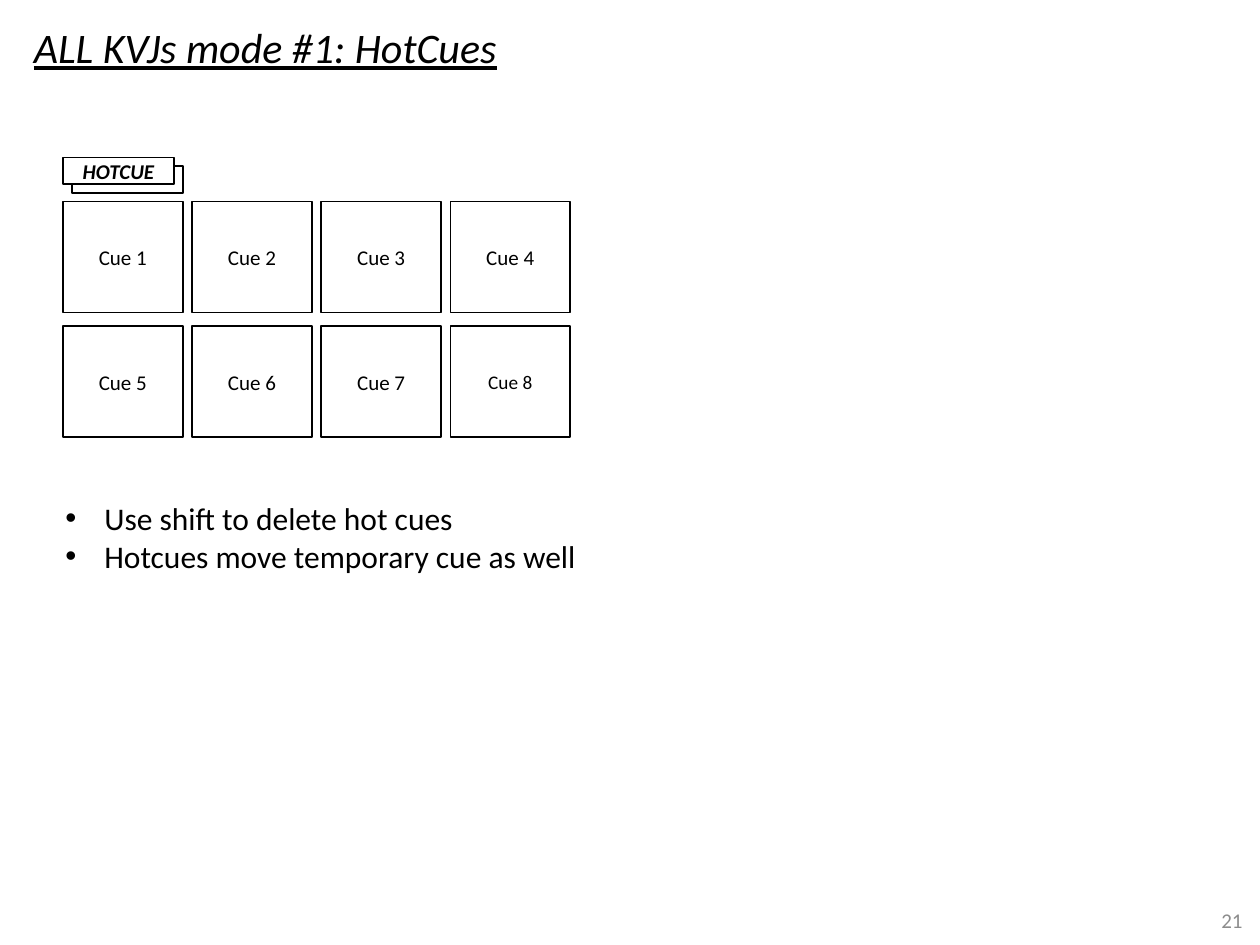
from dataclasses import dataclass

from lxml import etree
from pptx import Presentation
from pptx.dml.color import RGBColor
from pptx.enum.shapes import MSO_SHAPE
from pptx.enum.text import MSO_ANCHOR, MSO_AUTO_SIZE, PP_ALIGN
from pptx.oxml.ns import qn
from pptx.util import Inches, Pt

RECT = MSO_SHAPE.RECTANGLE
MIDDLE = MSO_ANCHOR.MIDDLE
FIT = MSO_AUTO_SIZE.SHAPE_TO_FIT_TEXT
LEFT, CENTER, RIGHT = PP_ALIGN.LEFT, PP_ALIGN.CENTER, PP_ALIGN.RIGHT

COLORS = {"ink": "000000", "paper": "FFFFFF", "muted": "8C8C8C"}
FONT = "Calibri"
COLS, ROWS = 4, 2
GRID_X, GRID_Y = 0.5, 1.6
STEP_X, STEP_Y = 1.025, 0.99
PAD_W, PAD_H = 0.95, 0.88
TAB_W, TAB_H, TAB_GAP = 0.88, 0.21, 0.07
INDENT = 0.31


@dataclass
class Box:
    x: float
    y: float
    w: float
    h: float

    def place(self) -> list:
        return [Inches(v) for v in (self.x, self.y, self.w, self.h)]


@dataclass
class Style:
    size: float = 12
    color: str = "ink"
    bold: bool = False
    italic: bool = False
    under: bool = False
    align: PP_ALIGN = LEFT


def color(name: str) -> RGBColor:
    return RGBColor.from_string(COLORS[name])


def write(frame, text: str, style: Style) -> None:
    frame.text = text
    for para in frame.paragraphs:
        para.alignment = style.align
        for run in para.runs:
            font = run.font
            font.name, font.size = FONT, Pt(style.size)
            font.bold, font.italic = style.bold, style.italic
            font.underline = style.under
            font.color.rgb = color(style.color)


def draw_pad(slide, box: Box, text: str = "", style: Style | None = None) -> None:
    """Draw an outlined rectangle with an optional centred label."""
    pad = slide.shapes.add_shape(RECT, *box.place())
    pad.shadow.inherit = False
    pad.fill.solid()
    pad.fill.fore_color.rgb = color("paper")
    pad.line.color.rgb = color("ink")
    pad.line.width = Pt(1)
    if text and style:
        frame = pad.text_frame
        frame.margin_left = frame.margin_right = 0
        frame.margin_top = frame.margin_bottom = 0
        frame.vertical_anchor = MIDDLE
        write(frame, text, style)


def draw_text(slide, box: Box, text: str, style: Style, wrap: bool = False):
    frame = slide.shapes.add_textbox(*box.place()).text_frame
    frame.word_wrap = wrap
    if not wrap:
        frame.auto_size = FIT
    write(frame, text, style)
    return frame


def add_bullets(frame) -> None:
    for para in frame.paragraphs:
        props = para._p.get_or_add_pPr()
        props.set("marL", str(Inches(INDENT)))
        props.set("indent", str(-Inches(INDENT)))
        etree.SubElement(props, qn("a:buFont")).set("typeface", "Arial")
        etree.SubElement(props, qn("a:buChar")).set("char", "•")


def main() -> None:
    deck = Presentation()
    deck.slide_width, deck.slide_height = Inches(10), Inches(7.5)
    slide = deck.slides.add_slide(deck.slide_layouts[6])

    draw_text(slide, Box(0.17, 0.12, 3.97, 0.5), "ALL KVJs mode #1: HotCues",
              Style(24, italic=True, under=True))

    for i in range(COLS * ROWS):
        row, col = divmod(i, COLS)
        box = Box(GRID_X + col * STEP_X, GRID_Y + row * STEP_Y, PAD_W, PAD_H)
        size = 11 if i == COLS * ROWS - 1 else 12
        draw_pad(slide, box, f"Cue {i + 1}", Style(size, align=CENTER))

    tab = Box(GRID_X, 1.25, TAB_W, TAB_H)
    draw_pad(slide, Box(tab.x + TAB_GAP, tab.y + TAB_GAP, TAB_W, TAB_H))
    draw_pad(slide, tab, "HOTCUE", Style(bold=True, italic=True, align=CENTER))

    notes = draw_text(slide, Box(0.42, 3.91, 4.3, 0.71),
                      "Use shift to delete hot cues\n"
                      "Hotcues move temporary cue as well", Style(18))
    add_bullets(notes)

    number = draw_text(slide, Box(7.63, 7.1, 2.33, 0.4), "21",
                       Style(color="muted", align=RIGHT), wrap=True)
    number.vertical_anchor = MIDDLE

    deck.save("out.pptx")


if __name__ == "__main__":
    main()
